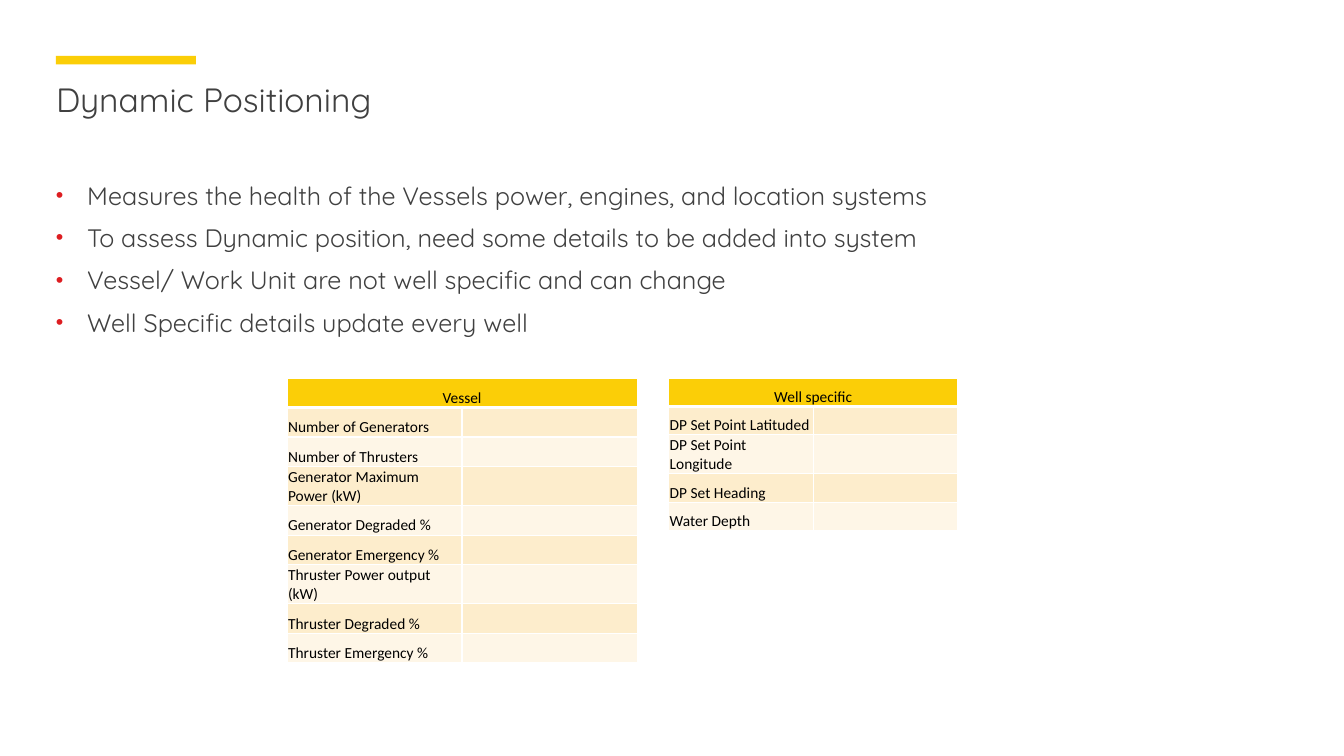
from dataclasses import dataclass

from lxml import etree
from pptx import Presentation
from pptx.dml.color import RGBColor
from pptx.enum.shapes import MSO_SHAPE
from pptx.enum.text import MSO_ANCHOR, MSO_AUTO_SIZE, PP_ALIGN
from pptx.oxml.ns import qn
from pptx.util import Inches, Pt

RECTANGLE = MSO_SHAPE.RECTANGLE
TOP, BOTTOM = MSO_ANCHOR.TOP, MSO_ANCHOR.BOTTOM
LEFT, CENTER = PP_ALIGN.LEFT, PP_ALIGN.CENTER
NO_AUTOFIT = MSO_AUTO_SIZE.NONE
TITLE_ONLY = 5

# Square grid of 96 columns by 54 rows
WIDTH, HEIGHT = Inches(13.33), Inches(7.5)
UNIT = HEIGHT / 54


@dataclass(frozen=True)
class Theme:
    accent: str = "FBCE07"
    text: str = "404040"
    bullet: str = "DD1D21"
    cell_text: str = "000000"
    border: str = "FFFFFF"
    bands: tuple = ("FDEDCC", "FEF6E7")
    body_font: str = "Quicksand"
    table_font: str = "Calibri"
    title_size: int = 24
    body_size: int = 18
    table_size: int = 11


THEME = Theme()

POINTS = [
    "Measures the health of the Vessels power, engines, and location systems",
    "To assess Dynamic position, need some details to be added into system",
    "Vessel/ Work Unit are not well specific and can change",
    "Well Specific details update every well",
]
VESSEL = [
    "Number of Generators", "Number of Thrusters",
    "Generator Maximum Power (kW)", "Generator Degraded %",
    "Generator Emergency %", "Thruster Power output (kW)",
    "Thruster Degraded %", "Thruster Emergency %",
]
WELL = ["DP Set Point Latituded", "DP Set Point Longitude",
        "DP Set Heading", "Water Depth"]


def grid(*cells):
    return [round(cell * UNIT) for cell in cells]


def style(para, font, size, color):
    para.font.name = font
    para.font.size = Pt(size)
    para.font.color.rgb = RGBColor.from_string(color)


def prepare_frame(frame):
    frame.word_wrap = True
    frame.auto_size = NO_AUTOFIT
    frame.vertical_anchor = TOP
    frame.margin_left = frame.margin_right = 0
    frame.margin_top = frame.margin_bottom = 0


def add_bullet(para):
    properties = para._p.get_or_add_pPr()
    indent = Inches(0.31)
    properties.set("marL", str(indent))
    properties.set("indent", str(-indent))
    color = etree.SubElement(properties, qn("a:buClr"))
    etree.SubElement(color, qn("a:srgbClr"), val=THEME.bullet)
    etree.SubElement(properties, qn("a:buSzPct"), val="85000")
    etree.SubElement(properties, qn("a:buFont"), typeface="Arial")
    etree.SubElement(properties, qn("a:buChar"), char="•")


def set_borders(cell, **widths):
    properties = cell._tc.get_or_add_tcPr()
    for position, side in enumerate("LRTB"):
        line = etree.Element(qn(f"a:ln{side}"), w=str(Pt(widths.get(side, 1))))
        fill = etree.SubElement(line, qn("a:solidFill"))
        etree.SubElement(fill, qn("a:srgbClr"), val=THEME.border)
        properties.insert(position, line)


def format_cell(cell, text, fill, align=LEFT):
    cell.text = text
    cell.vertical_anchor = BOTTOM
    cell.margin_left = cell.margin_right = cell.margin_top = Inches(0.01)
    cell.margin_bottom = 0
    cell.fill.solid()
    cell.fill.fore_color.rgb = RGBColor.from_string(fill)
    para = cell.text_frame.paragraphs[0]
    para.alignment = align
    style(para, THEME.table_font, THEME.table_size, THEME.cell_text)


def build_heading(page, text, column, row, columns):
    # Accent bar above the title
    bar = page.shapes.add_shape(RECTANGLE, *grid(column, row, 10, 0.6))
    bar.shadow.inherit = False
    bar.fill.solid()
    bar.fill.fore_color.rgb = RGBColor.from_string(THEME.accent)
    bar.line.fill.background()

    # Title
    title = page.shapes.title
    title.left, title.top, title.width, title.height = grid(
        column, row + 1.6, columns, 5.9)
    title.text = text
    prepare_frame(title.text_frame)
    para = title.text_frame.paragraphs[0]
    para.alignment = LEFT
    style(para, THEME.body_font, THEME.title_size, THEME.text)


def build_points(page, points, *box):
    frame = page.shapes.add_textbox(*grid(*box)).text_frame
    prepare_frame(frame)
    frame.text = "\n".join(points)
    for para in frame.paragraphs:
        para.line_spacing = 1.4
        style(para, THEME.body_font, THEME.body_size, THEME.text)
        add_bullet(para)


def build_details(page, heading, labels, column, row, columns, row_height):
    count = len(labels) + 1
    table = page.shapes.add_table(
        count, 2, *grid(column, row, columns, row_height * count)).table

    # Header across both columns
    header = table.cell(0, 0)
    header.merge(table.cell(0, 1))
    format_cell(header, heading, THEME.accent, CENTER)
    for cell in (header, table.cell(0, 1)):
        set_borders(cell, B=3)

    # Banded rows: label and an empty value
    for index, label in enumerate(labels):
        for side, text in enumerate((label, "")):
            cell = table.cell(index + 1, side)
            format_cell(cell, text, THEME.bands[index % 2])
            set_borders(cell, T=1 if index else 3)


def main():
    deck = Presentation()
    deck.slide_width, deck.slide_height = WIDTH, HEIGHT
    page = deck.slides.add_slide(deck.slide_layouts[TITLE_ONLY])
    build_heading(page, "Dynamic Positioning", 4, 4, 88)
    build_points(page, POINTS, 4, 12, 88, 38)
    build_details(page, "Vessel", VESSEL, 20.5, 27, 25, 2.11)
    build_details(page, "Well specific", WELL, 47.75, 27, 20.65, 2.03)
    deck.save("out.pptx")


if __name__ == "__main__":
    main()
